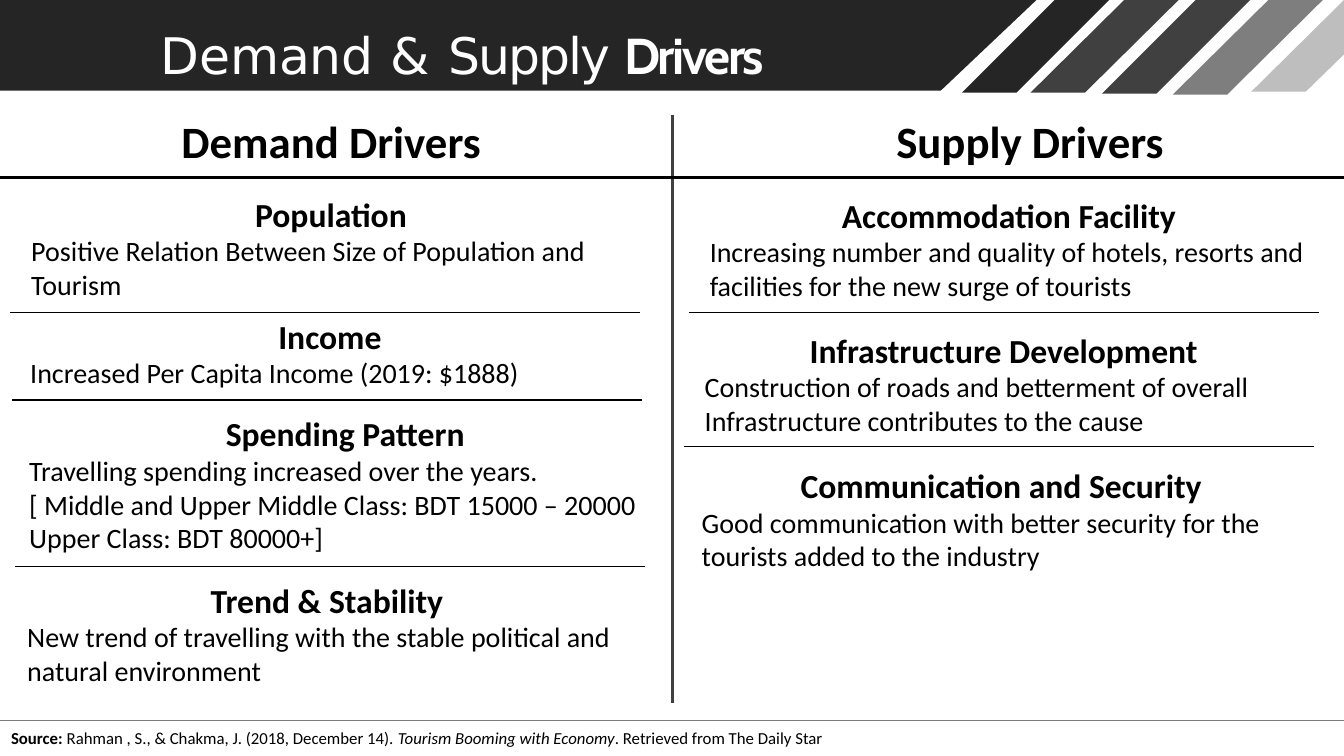
import pptx
import pptx.util
import pptx.dml.color
import pptx.enum.shapes
import pptx.enum.text
import pptx.oxml.ns
from lxml import etree

Inches = pptx.util.Inches
Pt = pptx.util.Pt
RGBColor = pptx.dml.color.RGBColor

BLACK = RGBColor(0x00, 0x00, 0x00)
WHITE = RGBColor(0xFF, 0xFF, 0xFF)
DARK = RGBColor(0x25, 0x25, 0x25)
SLATE = RGBColor(0x40, 0x40, 0x40)
GREY = RGBColor(0x7E, 0x7E, 0x7E)
LIGHT = RGBColor(0xBE, 0xBE, 0xBE)

WIDTH, HEIGHT = 13.33, 7.5
BAND = 0.54

# right edge at the top, sideways run, depth, colour
STRIPES = [
    (11.0, 0.92, 0.92, DARK),
    (11.69, 0.93, 0.92, SLATE),
    (12.4, 0.93, 0.93, SLATE),
    (13.12, 0.95, 0.94, GREY),
]

# left, top, width, height, heading indent, heading, body lines
DRIVERS = [
    (0.3, 1.9, 5.55, 1.1, 2.23, "Population",
     ["Positive Relation Between Size of Population and Tourism"]),
    (0.29, 3.11, 4.95, 0.77, 2.47, "Income",
     ["Increased Per Capita Income (2019: $1888)"]),
    (0.28, 4.08, 6.15, 1.43, 1.96, "Spending Pattern",
     ["Travelling spending increased over the years.",
      "[ Middle and Upper Middle Class: BDT 15000 – 20000",
      "Upper Class: BDT 80000+]"]),
    (0.26, 5.73, 5.85, 1.1, 1.83, "Trend & Stability",
     ["New trend of travelling with the stable political and "
      "natural environment"]),
    (7.03, 1.91, 6.0, 1.1, 1.32, "Accommodation Facility",
     ["Increasing number and quality of hotels, resorts and "
      "facilities for the new surge of tourists"]),
    (6.98, 3.25, 5.45, 1.1, 1.05, "Infrastructure Development",
     ["Construction of roads and betterment of overall "
      "Infrastructure contributes to the cause"]),
    (6.95, 4.59, 5.6, 1.1, 0.99, "Communication and Security",
     ["Good communication with better security for the "
      "tourists added to the industry"]),
]

# left, top and length of the rules between drivers
RULES = [(0.1, 3.1), (0.12, 3.97), (0.15, 5.62), (6.83, 3.1), (6.78, 4.43)]
RULE = 6.25


def add_run(para, text, size=20, font="Calibri", color=BLACK,
            bold=False, italic=False, track=0):
    """Append formatted text; track is letter spacing in points."""
    run = para.add_run()
    run.text = text
    style = run.font
    style.size = Pt(size)
    style.name = font
    style.bold = bold
    style.italic = italic
    style.color.rgb = color
    if track:
        run._r.get_or_add_rPr().set("spc", str(round(track * 100)))


class Slide:
    def __init__(self, deck):
        self.shapes = deck.slides.add_slide(deck.slide_layouts[6]).shapes

    def solid(self, points, color):
        """Draw a filled outline through points given in inches."""
        spots = [(Inches(x), Inches(y)) for x, y in points]
        pen = self.shapes.build_freeform(*spots[0], scale=1.0)
        pen.add_line_segments(spots[1:], close=True)
        shape = pen.convert_to_shape()
        shape.shadow.inherit = False
        shape.fill.solid()
        shape.fill.fore_color.rgb = color
        shape.line.fill.background()

    def line(self, x1, y1, x2, y2, color=BLACK, weight=0.96):
        kind = pptx.enum.shapes.MSO_CONNECTOR.STRAIGHT
        rule = self.shapes.add_connector(
            kind, Inches(x1), Inches(y1), Inches(x2), Inches(y2))
        rule.line.color.rgb = color
        rule.line.width = Pt(weight)
        etree.SubElement(rule._element.spPr, pptx.oxml.ns.qn("a:effectLst"))

    def text(self, left, top, width, height, paras, inset=0.02, pitch=None):
        """Add a box; each paragraph is (indent, [(text, format), ...])."""
        box = self.shapes.add_textbox(
            Inches(left), Inches(top), Inches(width), Inches(height))
        frame = box.text_frame
        frame.word_wrap = True
        frame.vertical_anchor = pptx.enum.text.MSO_ANCHOR.TOP
        frame.margin_left = frame.margin_right = frame.margin_bottom = 0
        frame.margin_top = Inches(inset)
        for pos, (indent, runs) in enumerate(paras):
            para = frame.add_paragraph() if pos else frame.paragraphs[0]
            para._p.get_or_add_pPr().set("marL", str(Inches(indent)))
            if pitch:
                para.line_spacing = Pt(pitch)
            for text, style in runs:
                add_run(para, text, **style)

    def driver(self, left, top, width, height, indent, head, lines):
        paras = [(indent, [(head, dict(size=24, bold=True))])]
        paras += [(0.01, [(text, {})]) for text in lines]
        self.text(left, top, width, height, paras)


def main():
    deck = pptx.Presentation()
    deck.slide_width = Inches(WIDTH)
    deck.slide_height = Inches(HEIGHT)
    slide = Slide(deck)

    slide.solid([(10.28, 0), (0, 0), (0, 0.9), (9.33, 0.9)], DARK)
    for right, run, depth, color in STRIPES:
        slide.solid([(right, 0), (right - BAND, 0),
                     (right - BAND - run, depth), (right - run, depth)], color)
    slide.solid([(WIDTH, 0), (12.41, 0.91), (12.95, 0.91), (WIDTH, 0.54)],
                LIGHT)

    title = dict(size=36, font="DejaVu Sans", color=WHITE)
    slide.text(1.58, 0.22, 6.4, 0.63, [(0.01, [
        ("Demand ", title),
        ("& ", dict(title, track=1)),
        ("Supply ", dict(title, track=-1.4)),
        ("Drivers", dict(title, font="Cabin", bold=True, track=-1.7)),
    ])])

    slide.line(6.67, 1.14, 6.67, 6.97, SLATE, 2.28)
    slide.line(0, 1.76, WIDTH, 1.76, BLACK, 2.28)
    slide.line(0, 7.15, WIDTH, 7.15, GREY, 0.72)
    for left, top in RULES:
        slide.line(left, top, left + RULE, top)

    for left, name in [(1.79, "Demand Drivers"), (8.88, "Supply Drivers")]:
        slide.text(left, 1.11, 3.1, 0.56,
                   [(0.01, [(name, dict(size=32, bold=True))])])
    for item in DRIVERS:
        slide.driver(*item)

    slide.text(0.1, 7.25, 8.2, 0.19, [(0.01, [
        ("Source: ", dict(size=12, bold=True)),
        ("Rahman , S., & Chakma, J. (2018, December 14). ", dict(size=12)),
        ("Tourism Booming with Economy", dict(size=12, italic=True)),
        (". Retrieved from The Daily Star", dict(size=12)),
    ])], inset=0, pitch=12.4)

    deck.save("out.pptx")


if __name__ == "__main__":
    main()
